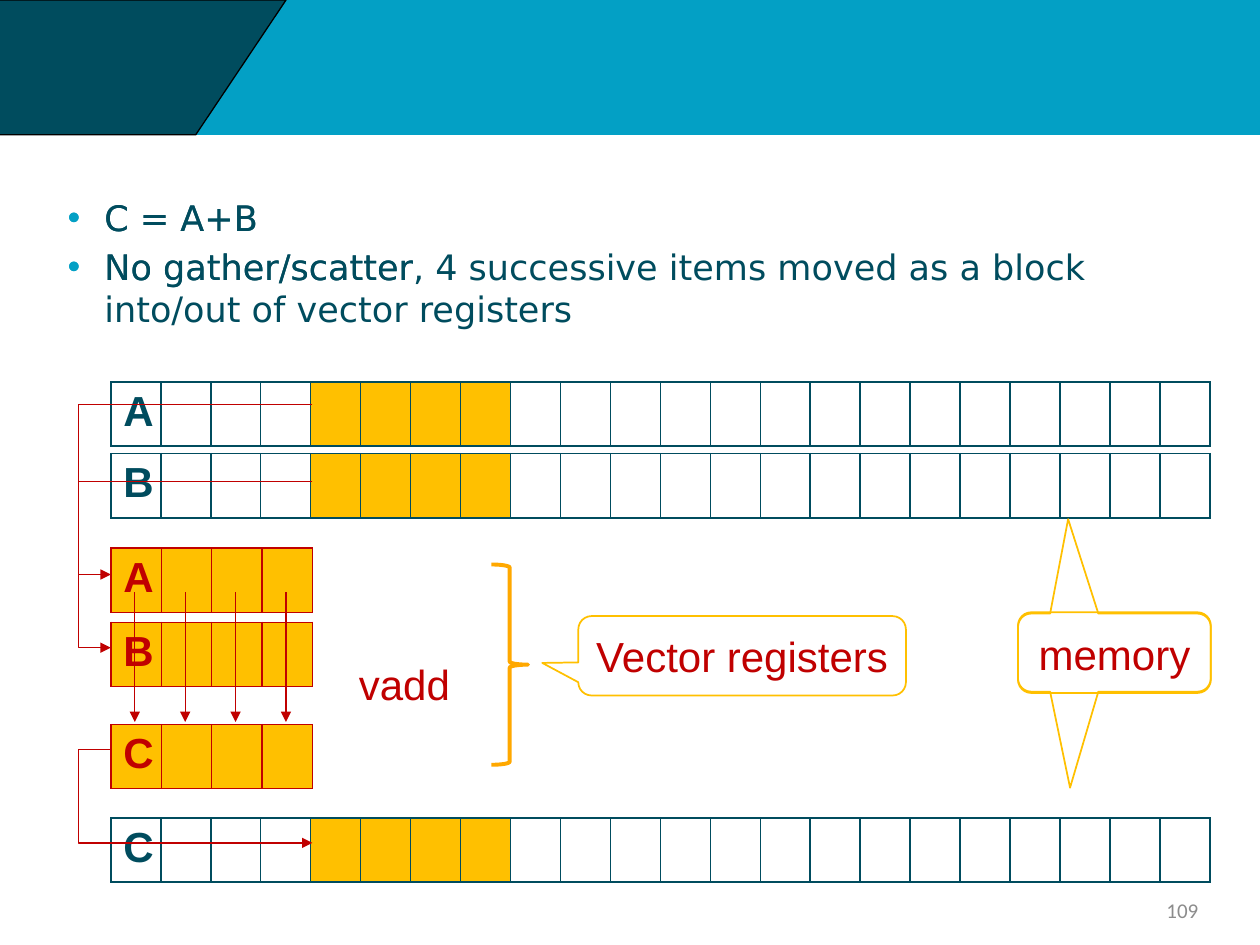
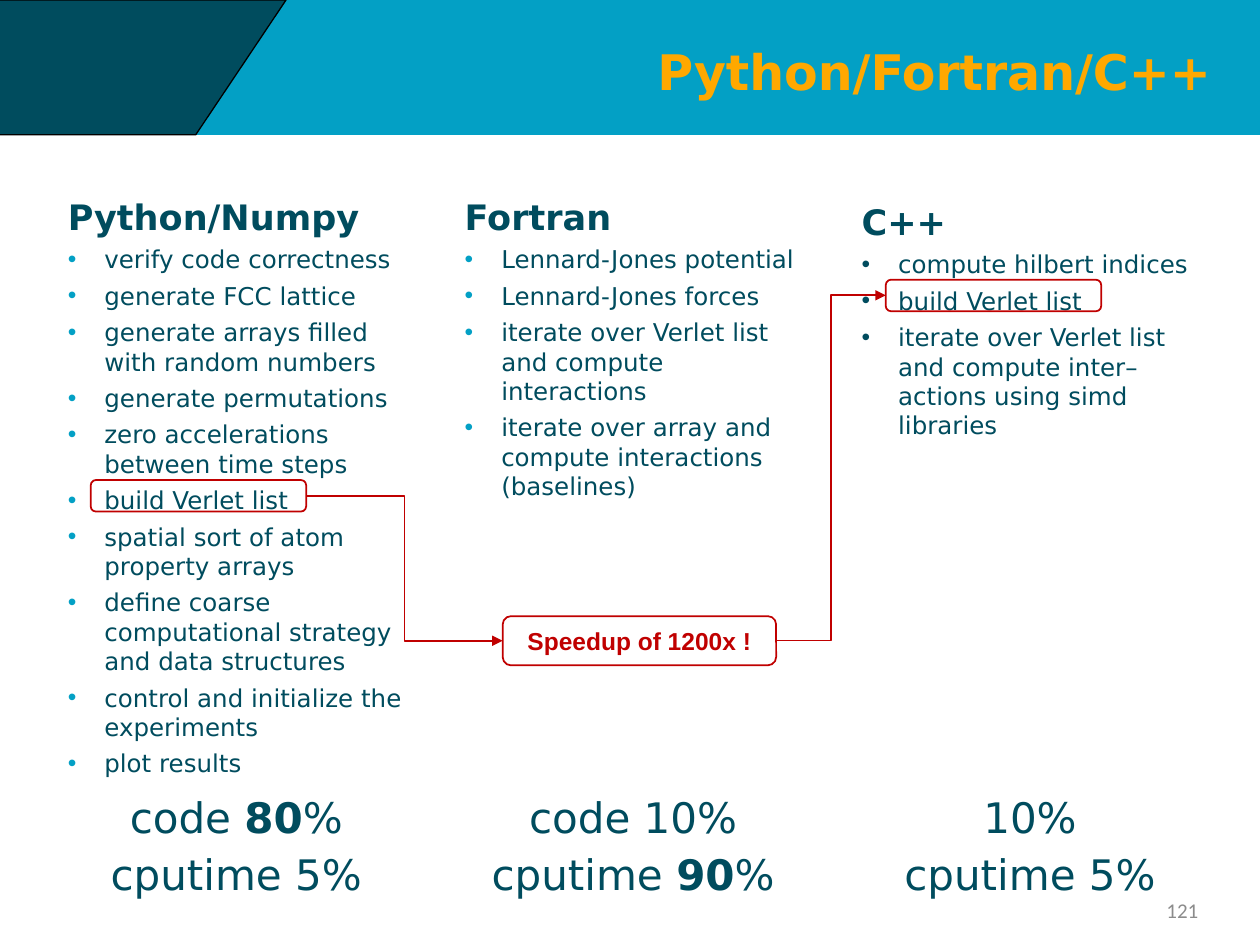
import pptx
import pptx.util
import pptx.dml.color
import pptx.enum.shapes
import pptx.enum.text
import pptx.oxml
import pptx.oxml.ns
import lxml.etree
from dataclasses import dataclass

Inches = pptx.util.Inches
Pt = pptx.util.Pt
RGB = pptx.dml.color.RGBColor.from_string
PRESET = pptx.enum.shapes.MSO_SHAPE
CONNECTOR = pptx.enum.shapes.MSO_CONNECTOR
ALIGN = pptx.enum.text.PP_ALIGN
ANCHOR = pptx.enum.text.MSO_ANCHOR
qn = pptx.oxml.ns.qn


@dataclass(frozen=True)
class Theme:
    band: str = "03A0C5"
    dark: str = "004C5E"
    orange: str = "FFA800"
    gold: str = "FFC000"
    red: str = "C00000"
    grey: str = "8C8C8C"
    black: str = "000000"
    body_font: str = "DejaVu Sans"
    label_font: str = "Arial"
    number_font: str = "Calibri"
    title_size: int = 28
    label_size: int = 24
    heading_size: int = 20
    item_size: int = 14
    number_size: int = 12


theme = Theme()


def place(slide, preset, box, line=None, width=1, fill=None, anchor=ANCHOR.MIDDLE,
          insets=(0.1, 0.05, 0.1, 0.05)):
    lengths = [Inches(value) for value in box]
    if preset is None:
        shape = slide.shapes.add_textbox(*lengths)
    else:
        shape = slide.shapes.add_shape(preset, *lengths)
        shape.shadow.inherit = False
        shape.line.color.rgb = RGB(line)
        shape.line.width = Pt(width)
        if fill:
            shape.fill.solid()
            shape.fill.fore_color.rgb = RGB(fill)
        else:
            shape.fill.background()
    frame = shape.text_frame
    frame.word_wrap = True
    frame.vertical_anchor = anchor
    frame.margin_left, frame.margin_top, frame.margin_right, frame.margin_bottom = [
        Inches(value) for value in insets]
    return shape


def write(frame, runs, font, size, color, align=ALIGN.LEFT, bullet=None):
    paragraph = frame.paragraphs[0]
    if paragraph.runs:
        paragraph = frame.add_paragraph()
        paragraph.space_before = Pt(4)
    paragraph.alignment = align
    if bullet:
        properties = paragraph._p.get_or_add_pPr()
        properties.set("marL", str(Inches(0.29)))
        properties.set("indent", str(Inches(-0.29)))
        bullet_color = lxml.etree.SubElement(properties, qn("a:buClr"))
        lxml.etree.SubElement(bullet_color, qn("a:srgbClr"), val=bullet)
        lxml.etree.SubElement(properties, qn("a:buFont"), typeface="Arial")
        lxml.etree.SubElement(properties, qn("a:buChar"), char="•")
    for text, bold in runs:
        run = paragraph.add_run()
        run.text = text
        run.font.name = font
        run.font.size = Pt(size)
        run.font.bold = bold
        run.font.color.rgb = RGB(color)


presentation = pptx.Presentation()
presentation.slide_width = Inches(10)
presentation.slide_height = Inches(7.5)

slides = []
for title, number in [(None, "109"), ("Python/Fortran/C++", "121")]:
    slide = presentation.slides.add_slide(presentation.slide_layouts[6])
    slides.append(slide)
    place(slide, PRESET.RECTANGLE, (0, 0, 10, 1.07), theme.band, 0.75, theme.band)
    corner = place(slide, PRESET.TRAPEZOID, (-2.26, 0, 4.53, 1.07), theme.black, 0.75, theme.dark)
    corner.rotation = 180
    corner.adjustments[0] = 0.67
    if title:
        title_box = place(slide, None, (1.54, 0.22, 8.07, 0.69), insets=(0, 0, 0, 0))
        write(title_box.text_frame, [(title, True)], theme.body_font, theme.title_size,
              theme.orange, ALIGN.RIGHT)
    number_box = place(slide, None, (7.28, 7.02, 2.33, 0.4))
    write(number_box.text_frame, [(number, False)], theme.number_font, theme.number_size,
          theme.grey, ALIGN.RIGHT)

vector_slide, language_slide = slides
body_insets = (0.1, 0.08, 0.1, 0.05)

statements = [
    ((0.44, 1.48, 4.45, 0.57), "No gather/scatter"),
    ((0.44, 1.48, 9.17, 1.38),
     "No gather/scatter, 4 successive items moved as a block into/out of vector registers"),
]
for box, statement in statements:
    body = place(vector_slide, None, box, anchor=ANCHOR.TOP, insets=body_insets)
    for text in ("C = A+B", statement):
        write(body.text_frame, [(text, False)], theme.body_font, theme.heading_size,
              theme.dark, bullet=theme.band)

memory = (8.73, 22, range(4, 8), theme.dark)
register = (1.6, 4, range(4), theme.red)
arrays = [
    ("A", 3.03, memory), ("B", 3.6, memory), ("C", 6.49, memory),
    ("A", 4.35, register), ("B", 4.94, register), ("C", 5.75, register),
]
for name, top, (width, count, filled, color) in arrays:
    table = vector_slide.shapes.add_table(
        1, count, Inches(0.88), Inches(top), Inches(width), Inches(0.51)).table
    table.first_row = False
    table.horz_banding = False
    for index in range(count):
        table.columns[index].width = Inches(width / count)
        cell = table.cell(0, index)
        for side in ("a:lnL", "a:lnR", "a:lnT", "a:lnB"):
            border = lxml.etree.SubElement(cell._tc.get_or_add_tcPr(), qn(side), w=str(Pt(1)))
            border_fill = lxml.etree.SubElement(border, qn("a:solidFill"))
            lxml.etree.SubElement(border_fill, qn("a:srgbClr"), val=color)
        if index in filled:
            cell.fill.solid()
            cell.fill.fore_color.rgb = RGB(theme.gold)
        else:
            cell.fill.background()
    write(table.cell(0, 0).text_frame, [(name, True)], theme.label_font, theme.label_size, color)

operation = place(vector_slide, None, (2.75, 5.18, 1, 0.48), anchor=ANCHOR.TOP)
write(operation.text_frame, [("vadd", False)], theme.label_font, theme.label_size, theme.red)

place(vector_slide, PRESET.RIGHT_BRACE, (3.9, 4.48, 0.29, 1.59), theme.orange, 2.25)
callouts = [
    ("memory", (8.08, 4.87, 1.53, 0.63), (-0.24, -1.69)),
    (None, (8.08, 4.86, 1.53, 0.63), (-0.23, 1.71)),
    ("Vector registers", (4.59, 4.89, 2.6, 0.63), (-0.61, 0.09)),
]
for text, box, tip in callouts:
    callout = place(vector_slide, PRESET.ROUNDED_RECTANGULAR_CALLOUT, box, theme.gold,
                    insets=(0.08, 0.05, 0.08, 0.05))
    callout.adjustments[0], callout.adjustments[1] = tip
    if text:
        write(callout.text_frame, [(text, False)], theme.label_font, theme.label_size,
              theme.red, ALIGN.CENTER)

languages = [
    ("Python/Numpy", 1.47, theme.band,
     ["verify code correctness", "generate FCC lattice",
      "generate arrays filled with random numbers", "generate permutations",
      "zero accelerations between time steps", "build Verlet list",
      "spatial sort of atom property arrays",
      "define coarse computational strategy and data structures",
      "control and initialize the experiments", "plot results"],
     [[("code ", False), ("80", True), ("%", False)], [("cputime 5%", False)]]),
    ("Fortran", 1.47, theme.band,
     ["Lennard-Jones potential", "Lennard-Jones forces",
      "iterate over Verlet list and compute interactions",
      "iterate over array and compute interactions (baselines)"],
     [[("code 10%", False)], [("cputime ", False), ("90", True), ("%", False)]]),
    ("C++", 1.51, theme.dark,
     ["compute hilbert indices", "build Verlet list",
      "iterate over Verlet list and compute inter–actions using simd libraries"],
     [[("10%", False)], [("cputime 5%", False)]]),
]
for index, (heading, top, bullet, tasks, shares) in enumerate(languages):
    left = 0.44 + 3.15 * index
    column = place(language_slide, None, (left, top, 2.87, 4.57), anchor=ANCHOR.TOP,
                   insets=body_insets)
    write(column.text_frame, [(heading, True)], theme.body_font, theme.heading_size, theme.dark)
    for task in tasks:
        write(column.text_frame, [(task, False)], theme.body_font, theme.item_size,
              theme.dark, bullet=bullet)
    summary = place(language_slide, None, (left, 6.2, 2.87, 0.55), anchor=ANCHOR.TOP,
                    insets=body_insets)
    for share in shares:
        write(summary.text_frame, share, theme.body_font, theme.label_size, theme.dark,
              ALIGN.CENTER)

python_task, speedup, cpp_task = [
    place(language_slide, PRESET.ROUNDED_RECTANGLE, box, theme.red)
    for box in [(0.72, 3.81, 1.71, 0.25), (3.99, 4.89, 2.17, 0.39), (7.03, 2.22, 1.71, 0.25)]]
write(speedup.text_frame, [("Speedup of 1200x !", True)], theme.label_font, theme.item_size,
      theme.red, ALIGN.CENTER)

arrows = [
    (vector_slide, (2.48, 3.21), (0.88, 4.56), 0.75, 1.16, None),
    (vector_slide, (2.48, 3.82), (0.88, 5.14), 0.75, 1.16, None),
    (vector_slide, (0.88, 5.95), (2.48, 6.69), 0.75, -0.16, None),
    (language_slide, (2.43, 3.93), (3.99, 5.08), 1, 0.5, (python_task, speedup)),
    (language_slide, (6.16, 5.08), (7.03, 2.35), 1, 0.5, (speedup, cpp_task)),
]
for index in range(4):
    x = 1.07 + 0.4 * index
    arrows.append((vector_slide, (x, 4.7), (x, 5.73), 0.75, None, None))

for slide, begin, end, width, bend, joined in arrows:
    kind = CONNECTOR.STRAIGHT if bend is None else CONNECTOR.ELBOW
    arrow = slide.shapes.add_connector(kind, *[Inches(value) for value in begin + end])
    arrow.line.color.rgb = RGB(theme.red)
    arrow.line.width = Pt(width)
    lxml.etree.SubElement(arrow.line._get_or_add_ln(), qn("a:tailEnd"), type="triangle")
    properties = arrow._element.spPr
    lxml.etree.SubElement(properties, qn("a:effectLst"))
    if bend is not None:
        guides = properties.find(qn("a:prstGeom")).find(qn("a:avLst"))
        lxml.etree.SubElement(guides, qn("a:gd"), name="adj1", fmla=f"val {round(bend * 100000)}")
    if joined:
        arrow.begin_connect(joined[0], 3)
        arrow.end_connect(joined[1], 1)

presentation.save("out.pptx")
